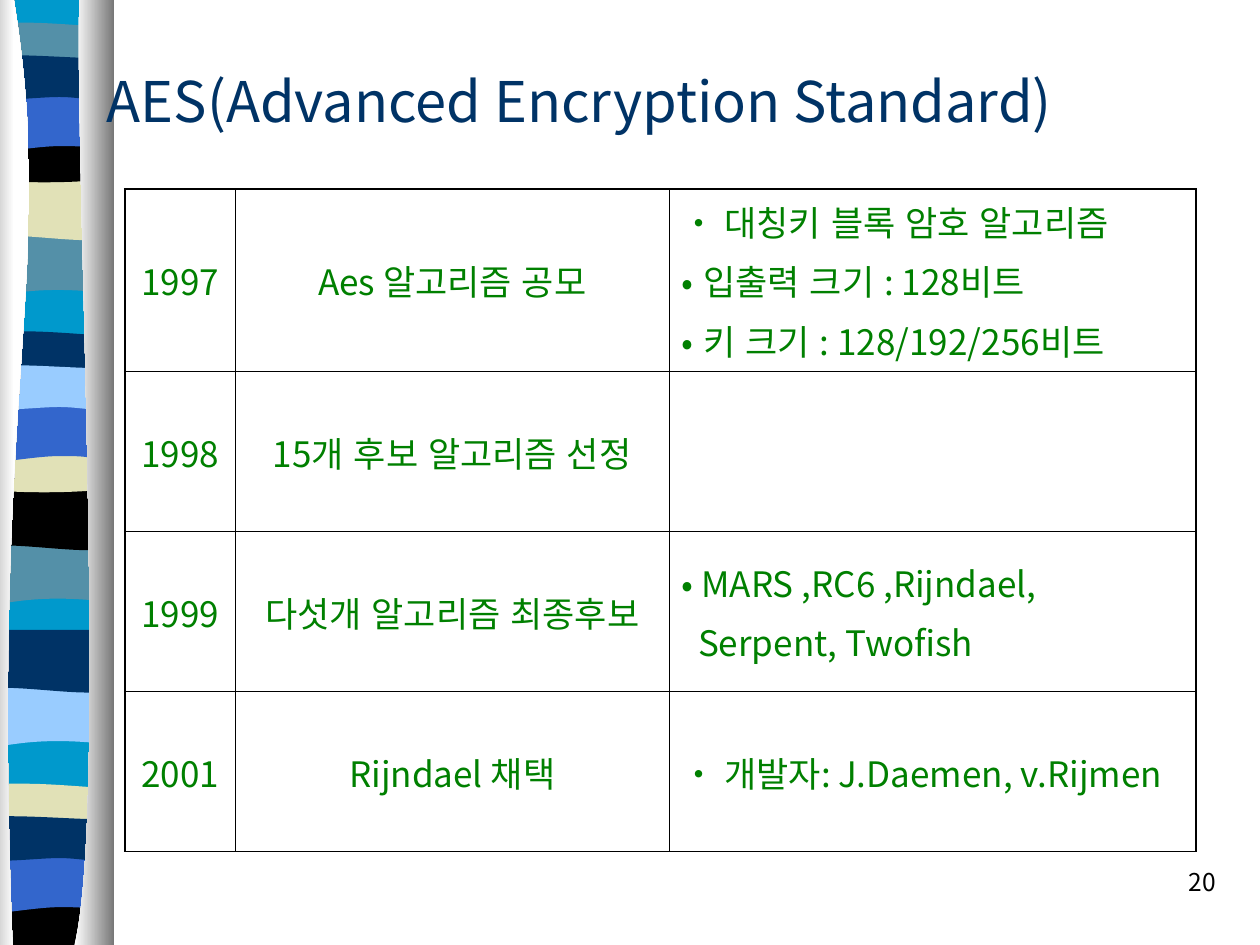
from dataclasses import dataclass

from lxml.etree import SubElement
from pptx import Presentation
from pptx.dml.color import RGBColor
from pptx.enum.lang import MSO_LANGUAGE_ID
from pptx.enum.text import MSO_ANCHOR, PP_ALIGN
from pptx.oxml import parse_xml
from pptx.oxml.ns import nsdecls, qn
from pptx.util import Inches, Pt


@dataclass(frozen=True)
class Theme:
    """Colours, font and type sizes of the slide."""
    font: str = "Noto Sans CJK KR"
    title_size: int = 32
    table_size: int = 20
    number_size: int = 14
    teal: str = "0099CC"
    slate: str = "5490A8"
    sand: str = "E1E1B7"
    black: str = "000000"
    blue: str = "3366CC"
    navy: str = "003366"
    sky: str = "99CCFF"
    green: str = "008000"
    grey: str = "767676"
    white: str = "FFFFFF"


THEME = Theme()
COLUMNS, ROWS = 100, 75
OUTER_LINE, INNER_LINE = 1.08, 0.45

STENCILS = {
    "tail": [(8.9, 0), (8.9, 4.7), (1.4, 3.8, -0.1, 5.4, -1.9, 4.7), (-1.9, 0)],
    "swell": [(8.9, 0), (8.9, 4.7), (7.1, 5.5, 1.4, 4.2, -1.9, 4.7), (-1.9, 0)],
    "cap": [(8.9, 0), (8.9, 2.4), (7.1, 2.8, -0.1, 2.8, -1.9, 2.4), (-1.9, 0),
            (-1.3, -0.5, 0.4, -0.4, 2.2, -0.4), (4, -0.4, 7.5, -0.1, 8.9, 0)],
    "ledge": [(8.9, 0), (8.9, 3.3), (7.1, 3.8, -0.1, 3.8, -1.9, 3.3), (-1.9, 0),
              (4.7, 0.5, 6.6, 0, 8.9, 0)],
    "arch": [(8.9, 0), (8.9, 4.7), (7.2, 4.1, 6.5, 4.1, 4.7, 4.1),
             (2.9, 4.1, -0.3, 4.7, -1.9, 4.7), (-1.9, 0)],
    "sheet": [(8.9, 0), (8.9, 3.1), (8.2, 3.6, 6.5, 3.1, 4.7, 3.1),
              (2.9, 3.1, -0.8, 3.6, -1.9, 3.1), (-1.9, 0),
              (-0.4, -0.5, 5.4, 0, 7.2, 0), (9, 0, 8.5, 0, 8.9, 0)],
    "foot": [(8.9, 0), (8.9, 3.8), (-1.9, 3.8), (-1.9, 0),
             (4.7, 0.5, 6.6, 0, 8.9, 0)],
    "backdrop": [(8.9, 0), (8.9, 74.8), (-1.9, 74.8), (-1.9, 0)],
}
BANDS = [
    ("backdrop", 0, THEME.teal),
    ("tail", 18.6, THEME.slate), ("swell", 14.1, THEME.sand),
    ("cap", 2.2, THEME.slate), ("ledge", 10.8, THEME.black),
    ("arch", 7.5, THEME.blue), ("sheet", 4.6, THEME.navy),
    ("tail", 43.1, THEME.slate), ("swell", 38.7, THEME.black),
    ("cap", 26.7, THEME.navy), ("ledge", 35.4, THEME.sand),
    ("arch", 32.1, THEME.blue), ("sheet", 29.2, THEME.sky),
    ("tail", 54.4, THEME.sky), ("swell", 50, THEME.navy),
    ("cap", 62.6, THEME.sand), ("foot", 71.2, THEME.black),
    ("arch", 67.9, THEME.blue), ("sheet", 65, THEME.navy),
]
LEFT_SHADE = [(1.1, 0), (4.6, 21.7, -0.8, 29.6, 1, 75), (-2.4, 75), (-2.5, 0)]
RIGHT_SHADE = [(6.3, 0), (5.9, 12.5, 8.6, 64.7, 5.9, 75), (9.1, 75), (9.1, 0)]

HISTORY = [
    ("1997", "Aes 알고리즘 공모",
     ["• 대칭키 블록 암호 알고리즘", "• 입출력 크기 : 128비트",
      "• 키 크기 : 128/192/256비트"]),
    ("1998", "15개 후보 알고리즘 선정", []),
    ("1999", "다섯개 알고리즘 최종후보",
     ["• MARS ,RC6 ,Rijndael,", "Serpent, Twofish"]),
    ("2001", "Rijndael 채택", ["• 개발자: J.Daemen, v.Rijmen"]),
]


def grid(cells):
    """Turn grid cells into a length."""
    return Inches(cells * 10 / COLUMNS)


def bend(band, corners, top):
    """Turn the straight segments that have control points into curves."""
    for segment, corner in zip(list(band._element.iter(qn("a:lnTo"))), corners):
        if len(corner) == 2:
            continue
        segment.tag = qn("a:cubicBezTo")
        for index in (0, 1):
            x, y = corner[2 * index:2 * index + 2]
            segment.insert(index, parse_xml(
                f'<a:pt {nsdecls("a")} x="{grid(x) - band.left}" '
                f'y="{grid(y + top) - band.top}"/>'))


def add_outline(slide, outline, colors, top=0):
    """Draw a closed outline in one colour or a left-to-right gradient."""
    start, *ends = [(grid(corner[-2]), grid(corner[-1] + top)) for corner in outline]
    builder = slide.shapes.build_freeform(*start)
    builder.add_line_segments(ends, close=True)
    band = builder.convert_to_shape()
    bend(band, outline[1:], top)
    band.shadow.inherit = False
    band.line.fill.background()
    if len(colors) == 1:
        band.fill.solid()
        band.fill.fore_color.rgb = RGBColor.from_string(colors[0])
        return
    band.fill.gradient()
    band.fill.gradient_angle = 0
    for stop, color in zip(band.fill.gradient_stops, colors):
        stop.color.rgb = RGBColor.from_string(color)


def write(frame, lines, *, size, color, align=PP_ALIGN.LEFT, gap=0, indent=0):
    """Write lines as paragraphs, the first bullet in a run of its own."""
    for index, line in enumerate(lines):
        paragraph = frame.add_paragraph() if index else frame.paragraphs[0]
        paragraph.alignment = align
        if index:
            paragraph.space_before = Pt(gap)
            if not line.startswith("•"):
                paragraph._p.get_or_add_pPr().set("marL", str(grid(indent)))
        lead = 2 if index == 0 and line.startswith("•") else 0
        for part in filter(None, (line[:lead], line[lead:])):
            run = paragraph.add_run()
            run.text = part
            run.font.size = Pt(size)
            run.font.name = THEME.font
            run.font.color.rgb = RGBColor.from_string(color)
            if part != "• ":
                run.font.language_id = MSO_LANGUAGE_ID.KOREAN
            SubElement(run._r.get_or_add_rPr(), qn("a:ea"), typeface=THEME.font)


def add_label(slide, text, place, *, anchor=MSO_ANCHOR.TOP, **style):
    """Add a wrapped text box at a place on the grid."""
    frame = slide.shapes.add_textbox(*map(grid, place)).text_frame
    frame.word_wrap = True
    frame.vertical_anchor = anchor
    write(frame, [text], **style)


def rule_cell(cell, **widths):
    """Draw the four borders of a cell."""
    for index, (side, width) in enumerate(widths.items()):
        cell._tc.get_or_add_tcPr().insert(index, parse_xml(
            f'<a:ln{side} {nsdecls("a")} w="{Pt(width)}"><a:solidFill>'
            f'<a:srgbClr val="{THEME.black}"/></a:solidFill></a:ln{side}>'))


def add_history(slide):
    """Add the table of the standard's history."""
    widths, heights = (8.8, 34.4, 41.8), (14.5, 12.7, 12.7, 12.7)
    table = slide.shapes.add_table(
        len(heights), len(widths), grid(9.9), grid(15),
        grid(sum(widths)), grid(sum(heights))).table
    table.first_row = table.horz_banding = False
    for column, width in zip(table.columns, widths):
        column.width = grid(width)
    for r, (year, event, details) in enumerate(HISTORY):
        table.rows[r].height = grid(heights[r])
        for c, lines in enumerate(([year], [event], details)):
            cell = table.cell(r, c)
            cell.vertical_anchor = MSO_ANCHOR.MIDDLE
            cell.fill.background()
            edges = {"L": c == 0, "R": c == len(widths) - 1,
                     "T": r == 0, "B": r == len(heights) - 1}
            rule_cell(cell, **{side: OUTER_LINE if outer else INNER_LINE
                               for side, outer in edges.items()})
            write(cell.text_frame, lines, size=THEME.table_size, color=THEME.green,
                  align=PP_ALIGN.LEFT if c == 2 else PP_ALIGN.CENTER,
                  gap=5, indent=1.3)


def main():
    """Build the slide and save it."""
    deck = Presentation()
    deck.slide_width, deck.slide_height = grid(COLUMNS), grid(ROWS)
    slide = deck.slides.add_slide(deck.slide_layouts[6])
    for stencil, top, color in BANDS:
        add_outline(slide, STENCILS[stencil], [color], top)
    add_outline(slide, LEFT_SHADE, [THEME.grey, THEME.white])
    add_outline(slide, RIGHT_SHADE, [THEME.white, THEME.grey])
    add_label(slide, "AES(Advanced Encryption Standard)", (7.5, 1.7, 85, 12.5),
              anchor=MSO_ANCHOR.MIDDLE, size=THEME.title_size, color=THEME.navy)
    add_history(slide)
    add_label(slide, "20", (76.7, 68.3, 20.8, 5), align=PP_ALIGN.RIGHT,
              size=THEME.number_size, color=THEME.black)
    deck.save("out.pptx")


if __name__ == "__main__":
    main()
